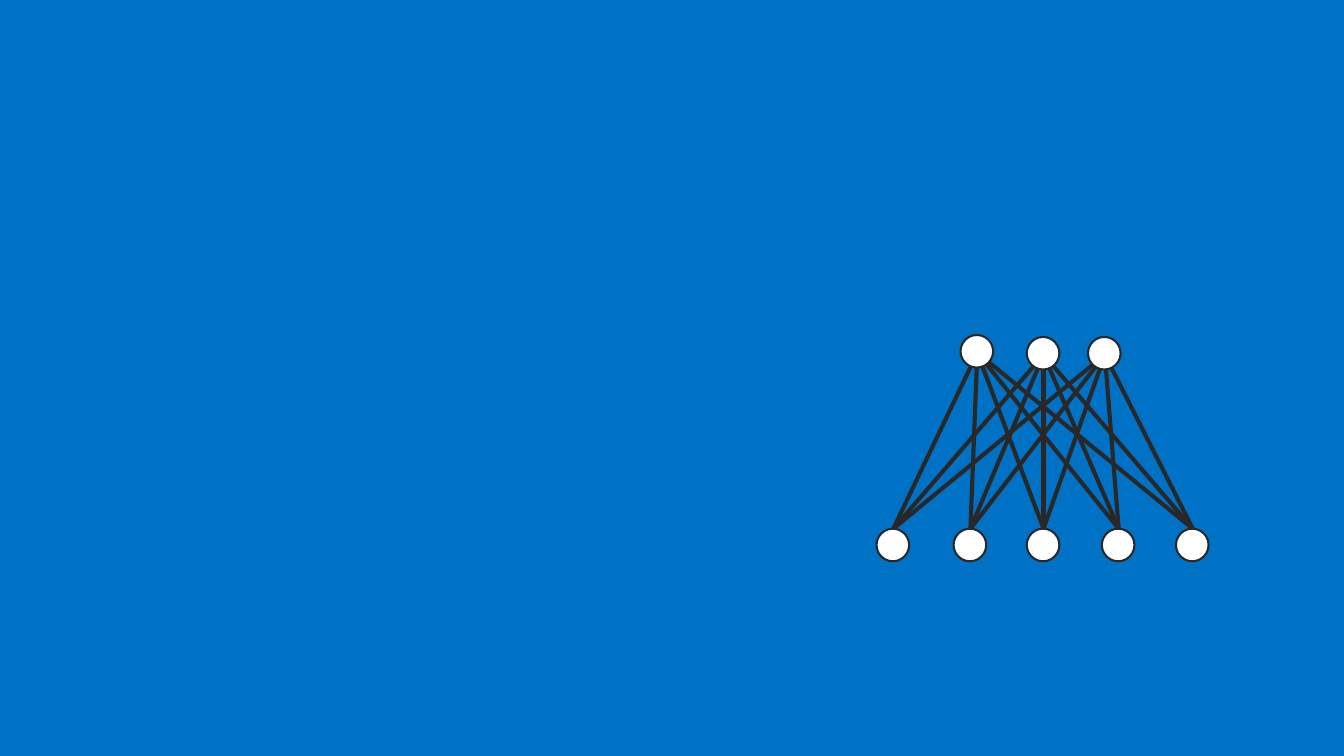
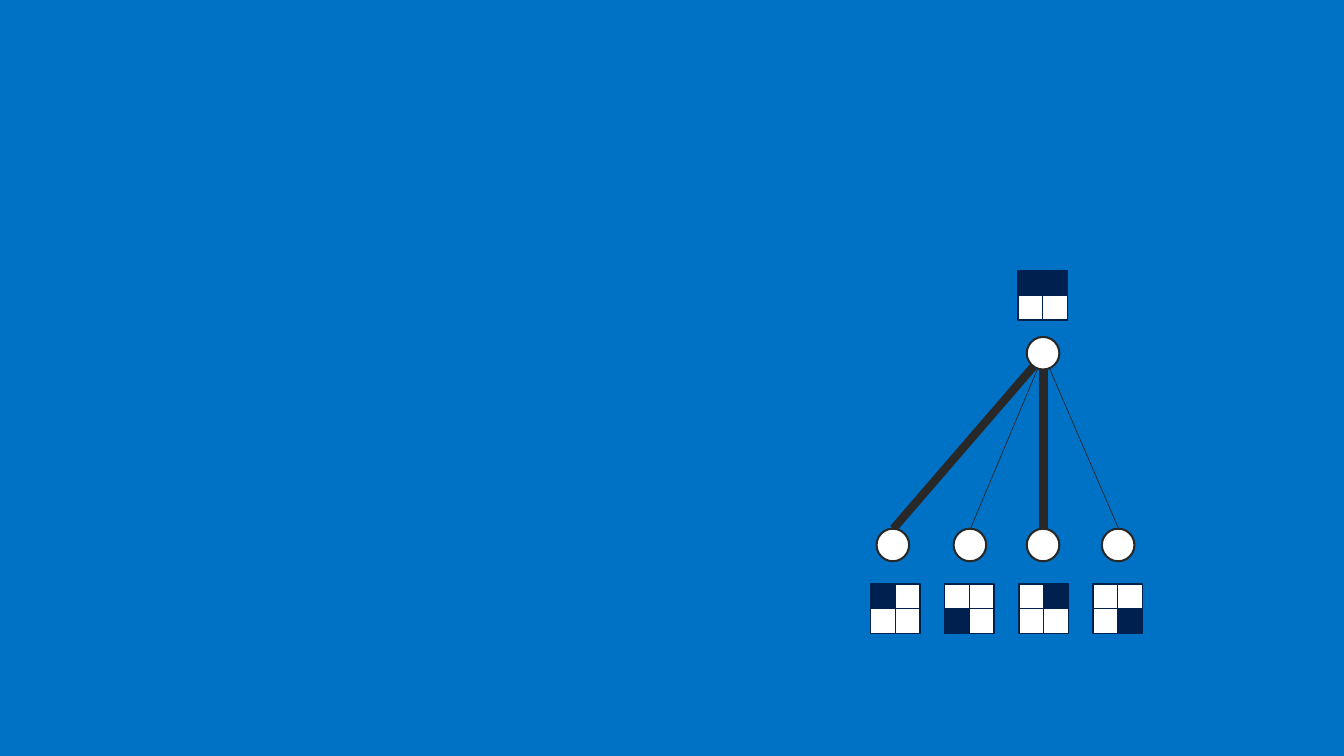
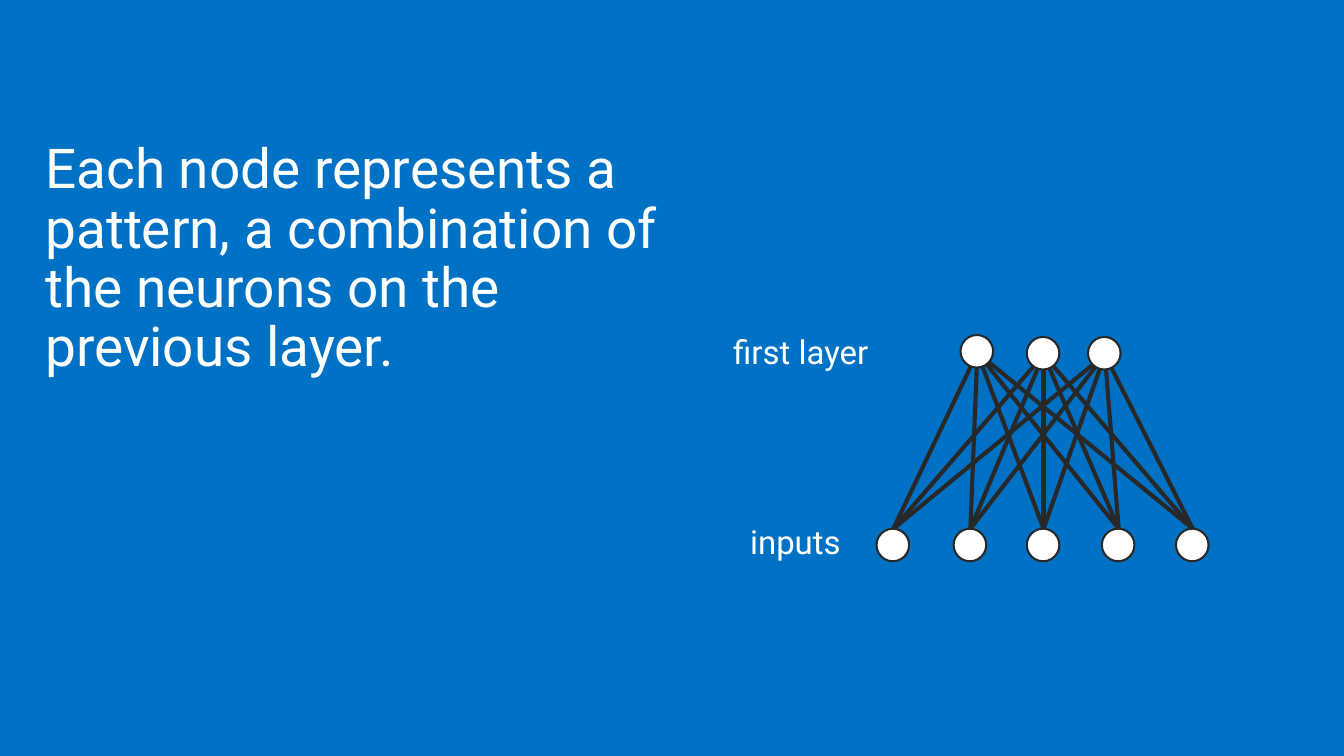
from dataclasses import dataclass
from itertools import product

from lxml import etree
from pptx import Presentation
from pptx.dml.color import RGBColor
from pptx.enum import shapes, text
from pptx.oxml import ns
from pptx.util import Inches, Pt


@dataclass(frozen=True)
class Theme:
    background: RGBColor = RGBColor(0x00, 0x72, 0xC6)
    ink: RGBColor = RGBColor(0x28, 0x28, 0x28)
    navy: RGBColor = RGBColor(0x00, 0x20, 0x50)
    white: RGBColor = RGBColor(0xFF, 0xFF, 0xFF)
    font: str = "Roboto"
    body_size: int = 40
    label_size: int = 24
    node_line: float = 1.5
    cell_line: float = 1
    edge: float = 3
    strong_edge: float = 6
    weak_edge: float = 0.5


THEME = Theme()

# Network geometry, in inches
NODE = 0.33
INPUTS = [(x, 5.35) for x in (8.87, 9.65, 10.39, 11.15, 11.9)]
FIRST_LAYER = [(9.72, 3.39), (10.39, 3.41), (11.01, 3.41)]
CELL = 0.25
PATTERN_GAP = 0.75


# Element builders
def add_box(slide, kind, x, y, size, fill, line, width):
    sp = slide.shapes.add_shape(kind, Inches(x), Inches(y), Inches(size), Inches(size))
    sp.shadow.inherit = False
    sp.fill.solid()
    sp.fill.fore_color.rgb = fill
    sp.line.color.rgb = line
    sp.line.width = Pt(width)


def add_edge(slide, source, target, width):
    """Run from the top of an input to the middle of a layer node."""
    c = slide.shapes.add_connector(
        shapes.MSO_CONNECTOR.STRAIGHT,
        Inches(source[0] + 0.17), Inches(source[1]),
        Inches(target[0] + 0.17), Inches(target[1] + 0.18))
    c.line.color.rgb = THEME.ink
    c.line.width = Pt(width)
    etree.SubElement(c.element.spPr, ns.qn("a:effectLst"))


def add_network(slide, inputs, layer, widths):
    """Draw every edge first so that the nodes cover the ends."""
    for (source, width), target in product(zip(inputs, widths), layer):
        add_edge(slide, source, target, width)
    for x, y in inputs + layer:
        add_box(slide, shapes.MSO_SHAPE.OVAL, x, y, NODE,
                THEME.white, THEME.ink, THEME.node_line)


def add_pattern(slide, x, y, rows):
    """Draw a grid of cells; '#' marks a dark one."""
    for r, row in enumerate(rows):
        for c, mark in enumerate(row):
            fill = THEME.navy if mark == "#" else THEME.white
            add_box(slide, shapes.MSO_SHAPE.RECTANGLE, x + c * CELL, y + r * CELL,
                    CELL, fill, THEME.navy, THEME.cell_line)


def set_text(sp, words, size, inset_x, inset_y, wrap):
    tf = sp.text_frame
    tf.text = words
    tf.word_wrap = wrap
    tf.auto_size = text.MSO_AUTO_SIZE.SHAPE_TO_FIT_TEXT
    tf.margin_left = tf.margin_right = Inches(inset_x)
    tf.margin_top = tf.margin_bottom = Inches(inset_y)
    p = tf.paragraphs[0]
    p.line_spacing = 0.9
    p.space_before = Pt(0)
    p.font.name = THEME.font
    p.font.size = Pt(size)
    p.font.color.rgb = THEME.white
    return p


def add_label(slide, x, y, width, words):
    sp = slide.shapes.add_textbox(Inches(x), Inches(y), Inches(width), Inches(0.69))
    set_text(sp, words, THEME.label_size, 0.2, 0.16, False).space_after = Pt(6)


def fill_body(slide, words):
    sp = slide.placeholders[1]
    sp.left, sp.top, sp.width, sp.height = map(Inches, (0.3, 1.33, 7, 2.63))
    p = set_text(sp, words, THEME.body_size, 0.16, 0.1, True)
    pPr = p._p.get_or_add_pPr()
    pPr.set("marL", "0")
    pPr.set("indent", "0")
    pPr.insert_element_before(etree.Element(ns.qn("a:buNone")), "a:tabLst", "a:defRPr")


# Slides
def build_network(prs):
    slide = prs.slides.add_slide(prs.slide_layouts[6])
    add_network(slide, INPUTS, FIRST_LAYER, [THEME.edge] * len(INPUTS))


def build_patterns(prs):
    slide = prs.slides.add_slide(prs.slide_layouts[6])
    strong, weak = THEME.strong_edge, THEME.weak_edge
    add_network(slide, INPUTS[:4], FIRST_LAYER[1:2], [strong, weak, strong, weak])
    for i, rows in enumerate((("#.", ".."), ("..", "#."), (".#", ".."), ("..", ".#"))):
        add_pattern(slide, 8.81 + i * PATTERN_GAP, 5.91, rows)
    add_pattern(slide, 10.3, 2.74, ("##", ".."))


def build_explanation(prs):
    slide = prs.slides.add_slide(prs.slide_layouts[1])
    title = slide.shapes.title.element
    title.getparent().remove(title)
    fill_body(slide, "Each node represents a pattern, a combination of "
                     "the neurons on the previous layer.")
    add_network(slide, INPUTS, FIRST_LAYER, [THEME.edge] * len(INPUTS))
    add_label(slide, 7.39, 5.16, 1.32, "inputs")
    add_label(slide, 7.22, 3.24, 1.77, "first layer")


def main():
    prs = Presentation()
    prs.slide_width, prs.slide_height = Inches(13.6), Inches(7.65)
    # Shared background
    fill = prs.slide_master.background.fill
    fill.solid()
    fill.fore_color.rgb = THEME.background
    build_network(prs)
    build_patterns(prs)
    build_explanation(prs)
    prs.save("out.pptx")


if __name__ == "__main__":
    main()
